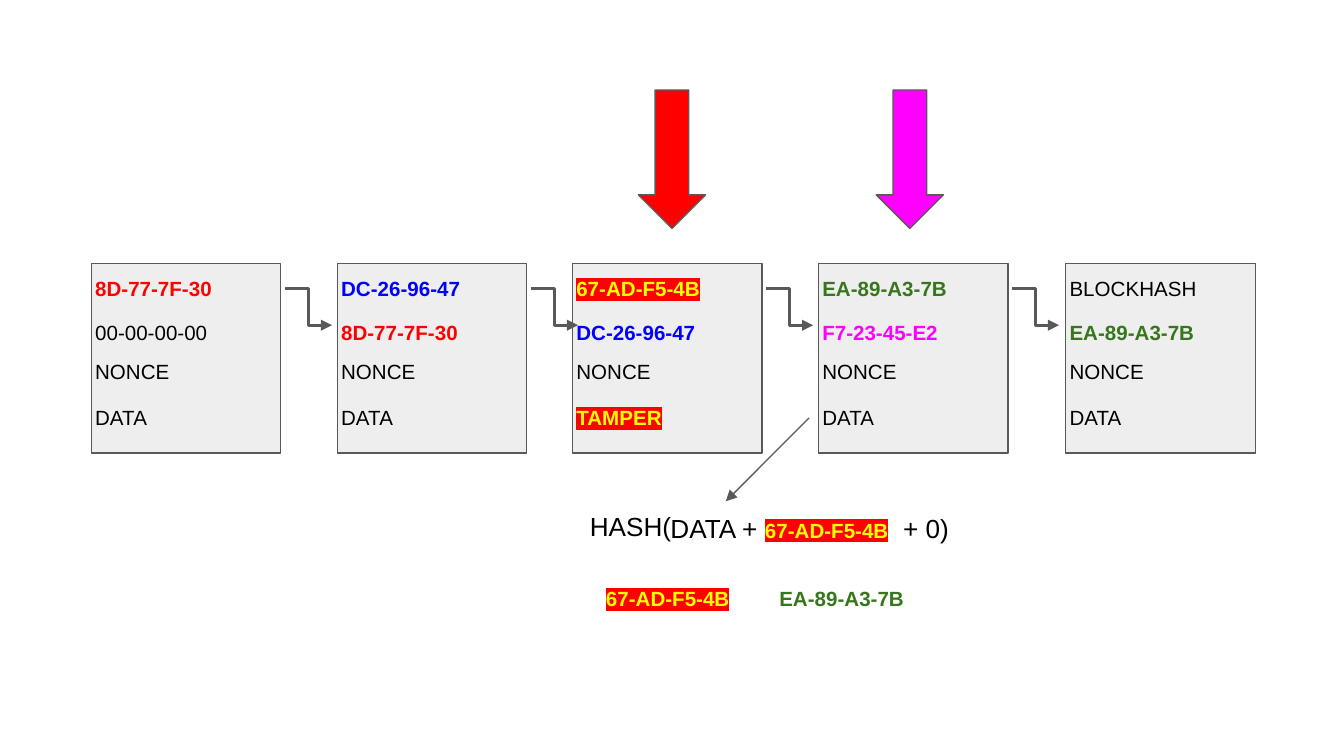
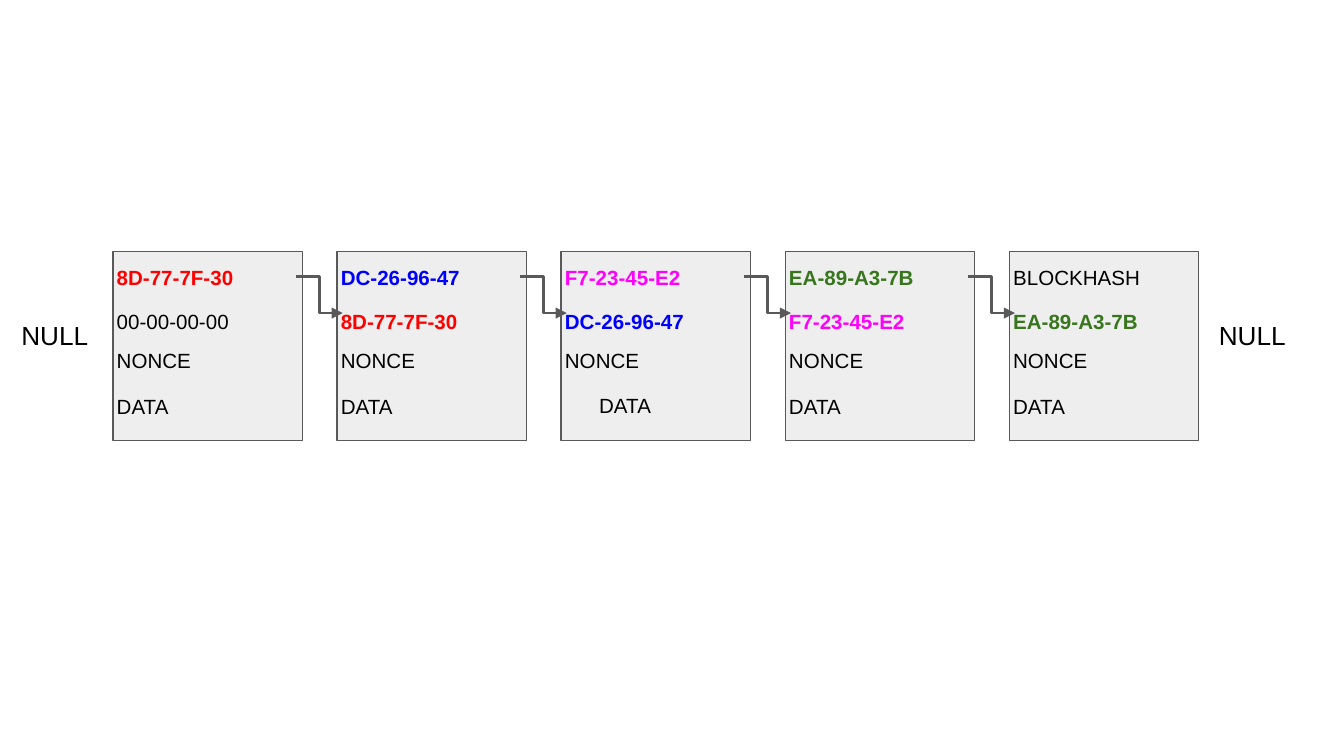
from lxml import etree
from pptx import Presentation
from pptx.dml.color import RGBColor
from pptx.enum import shapes, text
from pptx.oxml import ns
from pptx.util import Inches, Pt

GRAY, RED, PINK, YELLOW, BLACK = "595959", "FF0000", "FF00FF", "FFFF00", "000000"
COLORS = {
    "8D-77-7F-30": RED,
    "DC-26-96-47": "0000FF",
    "F7-23-45-E2": PINK,
    "EA-89-A3-7B": "38761D",
    "67-AD-F5-4B": YELLOW,
    "TAMPER": YELLOW,
}
BOX = 1.41
ROWS = [0, 0.33, 0.62, 0.96]


def add_label(parent, x, y, w, h, *runs):
    tf = parent.add_textbox(Inches(x), Inches(y), Inches(w), Inches(h)).text_frame
    tf.word_wrap = True
    tf.auto_size = text.MSO_AUTO_SIZE.SHAPE_TO_FIT_TEXT
    tf.margin_left = tf.margin_right = tf.margin_top = tf.margin_bottom = Inches(0.1)
    p = tf.paragraphs[0]
    p.font.name = "Arial"
    for words, size in runs:
        r = p.add_run()
        r.text = words
        color = COLORS.get(words, BLACK)
        font = p.font if len(runs) == 1 else r.font
        font.size = Pt(size)
        font.bold = words in COLORS
        font.color.rgb = RGBColor.from_string(color)
        if color == YELLOW:
            mark = etree.SubElement(r._r.get_or_add_rPr(), ns.qn("a:highlight"))
            etree.SubElement(mark, ns.qn("a:srgbClr"), val=RED)


def add_arrow(s, kind, x1, y1, x2, y2, width):
    c = s.shapes.add_connector(kind, Inches(x1), Inches(y1), Inches(x2), Inches(y2))
    c.line.color.rgb = RGBColor.from_string(GRAY)
    c.line.width = Pt(width)
    etree.SubElement(c.line._get_or_add_ln(), ns.qn("a:tailEnd"), type="triangle")
    etree.SubElement(c._element.spPr, ns.qn("a:effectLst"))


prs = Presentation()
prs.slide_width = Inches(10)
prs.slide_height = prs.slide_width * 9 // 16

first = ["8D-77-7F-30", "00-00-00-00", "NONCE", "DATA"]
second = ["DC-26-96-47", "8D-77-7F-30", "NONCE", "DATA"]
tampered = ["67-AD-F5-4B", "DC-26-96-47", "NONCE", "TAMPER"]
third = ["F7-23-45-E2", "DC-26-96-47", "NONCE"]
fourth = ["EA-89-A3-7B", "F7-23-45-E2", "NONCE", "DATA"]
last = ["BLOCKHASH", "EA-89-A3-7B", "NONCE", "DATA"]

chains = [
    (1.96, 1.96, 1.44, [0.68, 2.51, 4.26, 6.09, 7.93], [first, second, tampered, fourth, last]),
    (1.87, 1.88, 1.36, [0.84 + 6.67 * i / 4 for i in range(5)], [first, second, third, fourth, last]),
]
for top, text_top, link, lefts, blocks in chains:
    s = prs.slides.add_slide(prs.slide_layouts[6])
    for x, block in zip(lefts, blocks):
        group = s.shapes.add_group_shape().shapes
        sp = group.add_shape(shapes.MSO_SHAPE.RECTANGLE, Inches(x), Inches(top), Inches(BOX), Inches(BOX))
        sp.shadow.inherit = False
        sp.fill.solid()
        sp.fill.fore_color.rgb = RGBColor.from_string("EEEEEE")
        sp.line.color.rgb = RGBColor.from_string(GRAY)
        sp.line.width = Pt(0.75)
        for row, words in enumerate(block):
            tall = words.startswith("DC") or row == 1 and words in COLORS
            add_label(group, x - 0.07, text_top + ROWS[row], 1.67 if row else 1.53, 0.57 if tall else 0.39, (words, 11))
    for x in lefts[:-1]:
        add_arrow(s, shapes.MSO_CONNECTOR.ELBOW, x + link, top + 0.19, x + link + 0.35, top + 0.46, 1.5)

tamper_slide, valid_slide = prs.slides

for x, color in [(4.75, RED), (6.52, PINK)]:
    sp = tamper_slide.shapes.add_shape(shapes.MSO_SHAPE.DOWN_ARROW, Inches(x), Inches(0.67), Inches(0.5), Inches(1.03))
    sp.shadow.inherit = False
    sp.fill.solid()
    sp.fill.fore_color.rgb = RGBColor.from_string(color)
    sp.line.color.rgb = RGBColor.from_string(GRAY)
    sp.line.width = Pt(0.75)
add_label(tamper_slide.shapes, 4.89, 3.71, 3.28, 0.44, ("DATA + ", 14), ("67-AD-F5-4B", 11), ("  + 0)", 14))
add_label(tamper_slide.shapes, 4.29, 3.7, 0.86, 0.44, ("HASH(", 14))
add_label(tamper_slide.shapes, 4.41, 4.27, 3.28, 0.39, ("67-AD-F5-4B", 11))
add_label(tamper_slide.shapes, 5.7, 4.27, 3.28, 0.57, ("EA-89-A3-7B", 11))
add_arrow(tamper_slide, shapes.MSO_CONNECTOR.STRAIGHT, 6.02, 3.11, 5.4, 3.73, 0.75)

add_label(valid_slide.shapes, 4.36, 2.83, 1.67, 0.39, ("DATA", 11))
for x in (0.06, 8.97):
    add_label(valid_slide.shapes, x, 2.28, 0.72, 0.44, ("NULL", 14))

prs.save("out.pptx")
